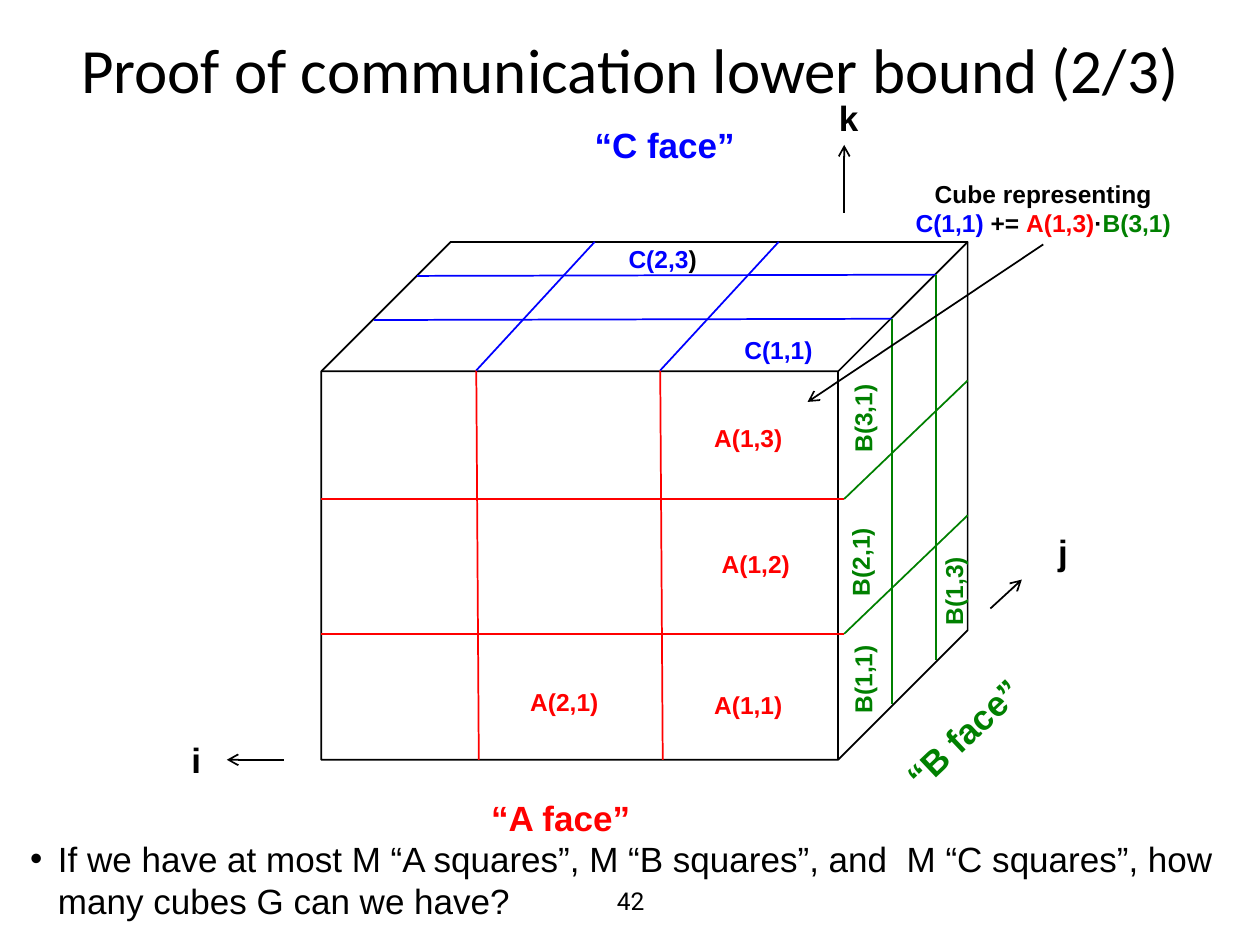
from dataclasses import dataclass

from lxml import etree
from pptx import Presentation
from pptx.dml.color import RGBColor
from pptx.enum.shapes import MSO_CONNECTOR, MSO_SHAPE
from pptx.enum.text import MSO_ANCHOR, PP_ALIGN
from pptx.oxml.ns import qn
from pptx.util import Inches, Pt

STRAIGHT = MSO_CONNECTOR.STRAIGHT
CUBE = MSO_SHAPE.CUBE
LEFT, CENTER = PP_ALIGN.LEFT, PP_ALIGN.CENTER
TOP, MIDDLE = MSO_ANCHOR.TOP, MSO_ANCHOR.MIDDLE
BLACK, RED, GREEN, BLUE = "000000", "FF0000", "008000", "0000FF"
TITLE_ONLY = 5

Spans = list[tuple[str, str]]


@dataclass
class Line:
    start: tuple[float, float]
    end: tuple[float, float]
    color: str = BLACK
    arrow: bool = False


@dataclass
class Label:
    """One bold line of text; spans pair each piece with its colour."""
    left: float
    top: float
    spans: Spans
    width: float = 0.74
    height: float = 0.34
    size: int = 14
    rotation: float = 0


def rgb(color: str) -> RGBColor:
    return RGBColor.from_string(color)


def add_spans(para, spans: Spans, size: int, font: str = "Arial",
              bold: bool = False) -> None:
    for text, color in spans:
        span = para.add_run()
        span.text = text
        span.font.name = font
        span.font.size = Pt(size)
        span.font.bold = bold
        span.font.color.rgb = rgb(color)


def add_box(page, left: float, top: float, width: float, height: float,
            wrap: bool = True, anchor=TOP):
    box = page.shapes.add_textbox(Inches(left), Inches(top),
                                  Inches(width), Inches(height))
    box.text_frame.word_wrap = wrap
    box.text_frame.vertical_anchor = anchor
    return box


def add_label(page, label: Label) -> None:
    box = add_box(page, label.left, label.top, label.width, label.height,
                  wrap=False)
    box.rotation = label.rotation
    add_spans(box.text_frame.paragraphs[0], label.spans, label.size, bold=True)


def add_line(page, line: Line) -> None:
    connector = page.shapes.add_connector(
        STRAIGHT, *(Inches(value) for value in line.start + line.end))
    connector.line.color.rgb = rgb(line.color)
    connector.line.width = Pt(1)
    properties = connector._element.spPr
    if line.arrow:
        outline = properties.find(qn("a:ln"))
        etree.SubElement(outline, qn("a:tailEnd"), type="arrow")
    etree.SubElement(properties, qn("a:effectLst"))


def add_cube(page) -> None:
    cube = page.shapes.add_shape(CUBE, Inches(2.55), Inches(1.92),
                                 Inches(5.13), Inches(4.11))
    cube.adjustments[0] = 0.25
    cube.shadow.inherit = False
    cube.fill.background()
    cube.line.color.rgb = rgb(BLACK)
    cube.line.width = Pt(1)


def add_title(page) -> None:
    title = page.shapes.title
    title.left, title.top = Inches(0), Inches(0.34)
    title.width, title.height = Inches(10), Inches(0.41)
    frame = title.text_frame
    frame.word_wrap = True
    frame.vertical_anchor = MIDDLE
    para = frame.paragraphs[0]
    para.alignment = CENTER
    add_spans(para, [("Proof of communication lower bound (2/3)", BLACK)],
              36, "Calibri")


def add_caption(page) -> None:
    frame = add_box(page, 7.16, 1.37, 2.24, 0.57).text_frame
    product = [("C(1,1) ", BLUE), ("+= ", BLACK), ("A(1,3)", RED),
               ("·", BLACK), ("B(3,1)", GREEN)]
    first, second = frame.paragraphs[0], frame.add_paragraph()
    for para, spans in ((first, [("Cube representing", BLACK)]),
                        (second, product)):
        para.alignment = CENTER
        add_spans(para, spans, 14, bold=True)


def add_question(page) -> None:
    frame = add_box(page, 0.17, 6.62, 9.67, 0.7).text_frame
    frame.margin_left = frame.margin_right = Inches(0.07)
    frame.margin_top = frame.margin_bottom = Inches(0.03)
    para = frame.paragraphs[0]
    para.alignment = LEFT
    properties = para._p.get_or_add_pPr()
    properties.set("marL", str(Inches(0.22)))
    properties.set("indent", str(-Inches(0.22)))
    etree.SubElement(properties, qn("a:buFont"), typeface="Arial")
    etree.SubElement(properties, qn("a:buChar"), char="•")
    add_spans(para, [("If we have at most M “A squares”, M “B squares”, and  "
                      "M “C squares”, how many cubes G can we have?", BLACK)],
              20)


def add_page_number(page) -> None:
    frame = add_box(page, 3.42, 6.95, 3.17, 0.4, anchor=MIDDLE).text_frame
    para = frame.paragraphs[0]
    para.alignment = CENTER
    add_spans(para, [("42", BLACK)], 14, "Roboto")


def grid_lines() -> list[Line]:
    lines = []
    for y in (3.96, 5.03):
        lines.append(Line((2.55, y), (6.7, y), RED))
        lines.append(Line((6.7, y), (7.68, y - 0.94), GREEN))
    for x in (3.78, 5.24):
        lines.append(Line((x, 2.94), (x + 0.02, 6.03), RED))
        lines.append(Line((x, 2.94), (x + 0.94, 1.92), BLUE))
    for left, right, y in ((2.97, 7.08, 2.53), (3.31, 7.43, 2.18)):
        lines.append(Line((left, y + 0.01), (right, y), BLUE))
        lines.append(Line((right, y), (right, y + 3.06), GREEN))
    return lines


ARROWS = [
    Line((6.7, 1.69), (6.7, 1.15), arrow=True),
    Line((7.86, 4.83), (8.11, 4.6), arrow=True),
    Line((2.25, 6.03), (1.8, 6.03), arrow=True),
    Line((8.28, 1.94), (6.41, 3.19), arrow=True),
]
HEADINGS = [
    Label(6.56, 0.72, [("k", BLACK)], 0.36, 0.44, 20),
    Label(1.42, 5.81, [("i", BLACK)], 0.28, 0.44, 20),
    Label(8.3, 4.16, [("j", BLACK)], 0.28, 0.44, 20),
    Label(3.8, 6.27, [("“A face”", RED)], 1.31, 0.44, 20),
    Label(6.99, 5.6, [("“B face”", GREEN)], 1.32, 0.44, 20, 316.6),
    Label(4.62, 0.93, [("“C face”", BLUE)], 1.32, 0.44, 20),
]
SQUARES = [
    Label(4.11, 5.4, [("A(2,1)", RED)]),
    Label(5.57, 5.43, [("A(1,1)", RED)]),
    Label(5.63, 4.31, [("A(1,2)", RED)]),
    Label(5.57, 3.31, [("A(1,3)", RED)]),
    Label(6.48, 5.22, [("B(1,1)", GREEN)], rotation=270),
    Label(6.46, 4.29, [("B(2,1)", GREEN)], rotation=270),
    Label(6.48, 3.15, [("B(3,1)", GREEN)], rotation=270),
    Label(7.2, 4.52, [("B(1,3)", GREEN)], rotation=270),
    Label(5.81, 2.61, [("C(1,1)", BLUE)]),
    Label(4.89, 1.89, [("C(2,3", BLUE), (")", BLACK)]),
]


def main() -> None:
    deck = Presentation()
    deck.slide_width, deck.slide_height = Inches(10), Inches(7.5)
    page = deck.slides.add_slide(deck.slide_layouts[TITLE_ONLY])
    add_title(page)
    add_page_number(page)
    add_caption(page)
    add_question(page)
    add_cube(page)
    for line in grid_lines() + ARROWS:
        add_line(page, line)
    for label in HEADINGS + SQUARES:
        add_label(page, label)
    deck.save("out.pptx")


if __name__ == "__main__":
    main()
